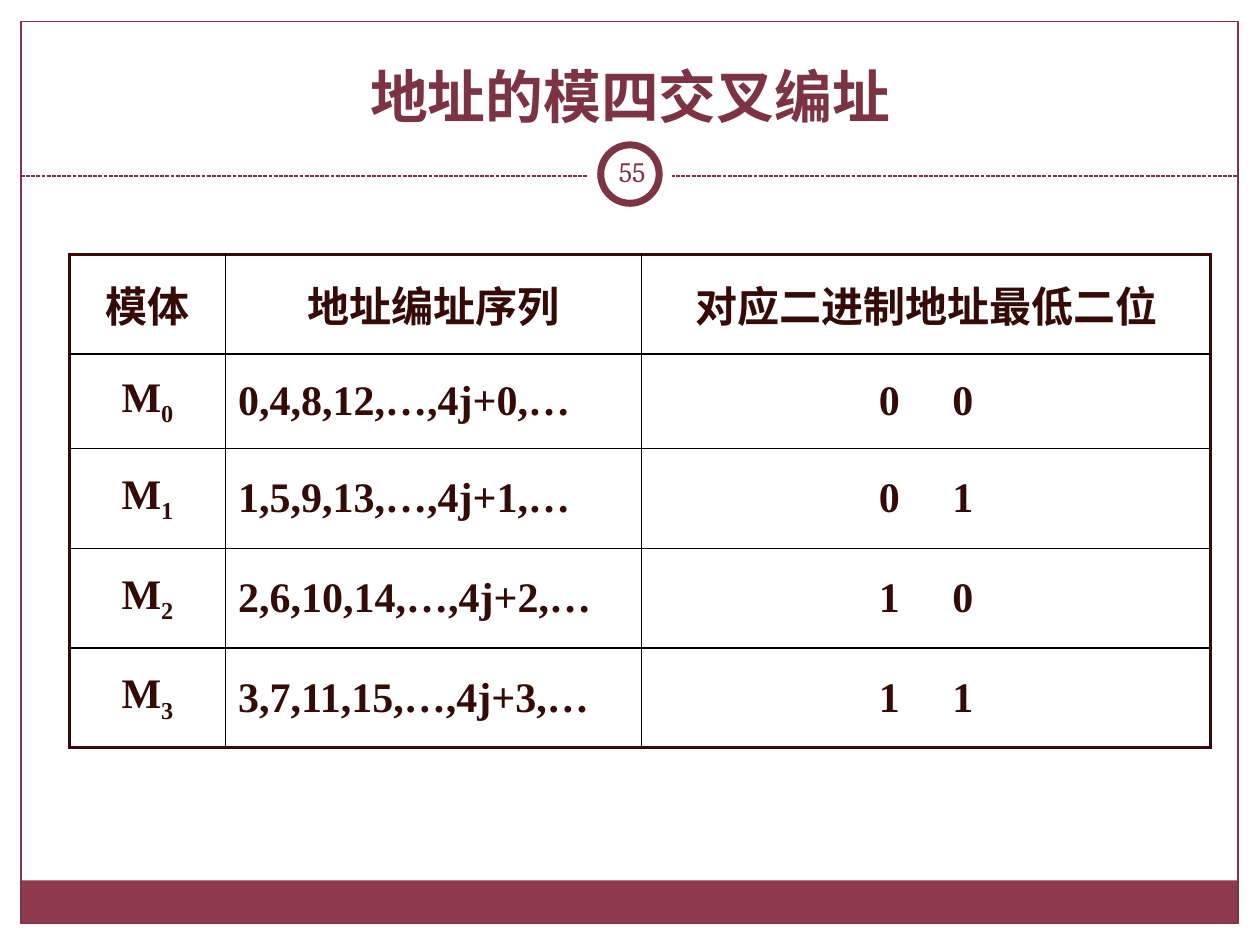
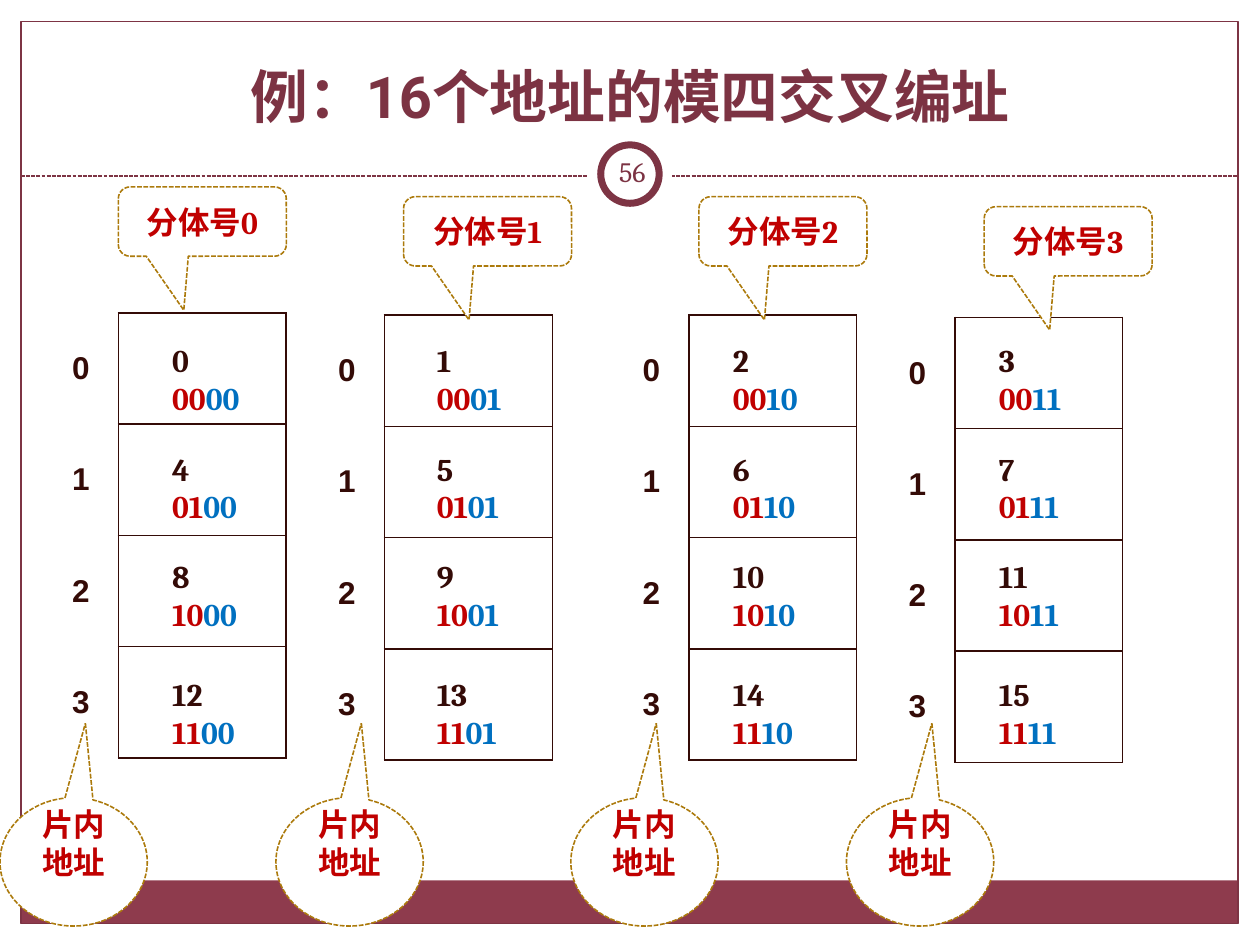
from dataclasses import dataclass
from lxml import etree
from pptx import Presentation
from pptx import util as u
from pptx.dml.color import RGBColor
from pptx.enum import dml, shapes, text
from pptx.oxml import ns


@dataclass(frozen=True)
class Type:
    font: str
    size: float
    color: str
    bold: bool = True


class Theme:
    white = "FFFFFF"
    band = "8E3B4D"
    rule = "7D3444"
    ink = "340B07"
    grid = "000000"
    gold = "AC7A0C"
    red = "C00000"
    blue = "0070C0"
    plain = "{2D5ABB26-0587-4C30-8999-92F81FD0307C}"
    title = Type("Roboto", 33, "7C3343")
    page = Type("Cambria", 16, "7C3343", False)
    cell = Type("Times New Roman", 24, ink)
    index = Type("Arial", 18, ink)
    word = Type("Cambria", 18, ink)
    call = Type("Cambria", 18, red)


LEFT, MID = text.PP_ALIGN.LEFT, text.PP_ALIGN.CENTER
Kind = shapes.MSO_SHAPE


def rgb(code):
    return RGBColor.from_string(code)


def box(*sides):
    return [u.Pt(side) for side in sides]


def write(frame, paras, style, align=MID, anchor=text.MSO_ANCHOR.MIDDLE):
    frame.word_wrap = True
    frame.vertical_anchor = anchor
    for i, parts in enumerate(paras):
        para = frame.add_paragraph() if i else frame.paragraphs[0]
        para.alignment = align
        font = para.font
        font.name, font.size, font.bold = style.font, u.Pt(style.size), style.bold
        font.color.rgb = rgb(style.color)
        for part, color, attrs in parts:
            run = para.add_run()
            run.text = part
            if color:
                run.font.color.rgb = rgb(color)
            for key, value in attrs.items():
                run._r.get_or_add_rPr().set(key, value)


def part(words, color=None, **attrs):
    return words, color, attrs


def label(slide, area, paras, style, align=MID, inset=7.2):
    frame = slide.shapes.add_textbox(*box(*area)).text_frame
    write(frame, paras, style, align)
    frame.margin_left = u.Pt(inset)
    return frame


def draw(slide, kind, area, fill=None, line=None, width=0.75, dash=None):
    shape = slide.shapes.add_shape(kind, *box(*area))
    shape.shadow.inherit = False
    if fill:
        shape.fill.solid()
        shape.fill.fore_color.rgb = rgb(fill)
    else:
        shape.fill.background()
    if line:
        shape.line.color.rgb = rgb(line)
        shape.line.width = u.Pt(width)
        shape.line.dash_style = dash
    else:
        shape.line.fill.background()
    return shape


def callout(slide, kind, area, tail, words):
    shape = draw(slide, kind, area, Theme.white, Theme.gold, 0.9,
                 dml.MSO_LINE.SQUARE_DOT)
    for i, value in enumerate(tail):
        shape.adjustments[i] = value
    write(shape.text_frame, [[part(words)]], Theme.call)
    return shape.text_frame


def edge(cell, **sides):
    props = cell._tc.get_or_add_tcPr()
    for side in "LRTB":
        if side in sides:
            color, width = sides[side]
            line = etree.SubElement(props, ns.qn("a:ln" + side), w=str(u.Pt(width)))
            fill = etree.SubElement(line, ns.qn("a:solidFill"))
            etree.SubElement(fill, ns.qn("a:srgbClr"), val=color)
    cell.fill.background()


def grid(slide, left, top, cols, rows):
    area = box(left, top, sum(cols), sum(rows))
    table = slide.shapes.add_table(len(rows), len(cols), *area).table
    table.first_row = table.horz_banding = False
    table._tbl.tblPr.find(ns.qn("a:tableStyleId")).text = Theme.plain
    for col, width in zip(table.columns, cols):
        col.width = u.Pt(width)
    for row, height in zip(table.rows, rows):
        row.height = u.Pt(height)
    return table


def base(deck, title, page):
    slide = deck.slides.add_slide(deck.slide_layouts[5])
    head = slide.shapes.title
    head.left, head.top, head.width, head.height = box(24, 18, 672, 60)
    head.text_frame.auto_size = text.MSO_AUTO_SIZE.NONE
    write(head.text_frame, [[part(title)]], Theme.title, anchor=text.MSO_ANCHOR.BOTTOM)
    draw(slide, Kind.RECTANGLE, (12, 503, 695.5, 24.8), Theme.band)
    draw(slide, Kind.RECTANGLE, (12, 12.2, 695.5, 515.6), line=Theme.rule)
    rule = slide.shapes.add_connector(shapes.MSO_CONNECTOR.STRAIGHT,
                                      *box(12, 100.6, 707.5, 100.6))
    rule.line.color.rgb = rgb(Theme.rule)
    rule.line.width = u.Pt(0.75)
    rule.line.dash_style = dml.MSO_LINE.SQUARE_DOT
    etree.SubElement(rule._element.spPr, ns.qn("a:effectLst"))
    draw(slide, Kind.OVAL, (336, 75.6, 48, 48), Theme.white)
    draw(slide, Kind.OVAL, (343.3, 82.8, 33.4, 33.4), Theme.white, Theme.rule, 4)
    frame = label(slide, (343.3, 80.6, 36, 34.6), [[part(page)]], Theme.page, inset=3.6)
    frame.margin_right = u.Pt(3.6)
    return slide


def modules(slide, left, top):
    cols, rows = (89.3, 237.6, 325.4), (57, 54, 57, 57, 57)
    table = grid(slide, left, top, cols, rows)
    lines = [[[part(name)] for name in ("模体", "地址编址序列", "对应二进制地址最低二位")]]
    for i in range(4):
        series = ",".join(str(4 * j + i) for j in range(4))
        high, low = f"{i:02b}"
        lines.append([
            [part("M"), part(str(i), baseline="-25000")],
            [part(f"{series},…,4j+{i},…")],
            [part(high), part(" ", spc="2400"), part(low)],
        ])
    thick, thin = (Theme.ink, 2.25), (Theme.grid, 1)
    for r, line in enumerate(lines):
        for c, parts in enumerate(line):
            cell = table.cell(r, c)
            write(cell.text_frame, [parts], Theme.cell, LEFT if r and c == 1 else MID)
            cell.vertical_anchor = text.MSO_ANCHOR.MIDDLE
            edge(cell, L=thin if c else thick, R=thick if c == 2 else thin,
                 T=thin if r else thick, B=thick if r == 4 else thin)


def bank(slide, num, left, top, word, tag, oval):
    table = grid(slide, left, top, (33.6, 96), [63.6] * 4)
    thin = (Theme.ink, 1)
    for r, drop in enumerate((11.5, 73.5, 135, 202.5)):
        name, cell = table.cell(r, 0), table.cell(r, 1)
        write(name.text_frame, [[part(str(r))]], Theme.index, LEFT)
        name.vertical_anchor = text.MSO_ANCHOR.MIDDLE
        edge(name, R=thin)
        edge(cell, L=thin, R=thin, T=thin, B=thin)
        bits = [part(f"{r:02b}", Theme.red), part(f"{num:02b}", Theme.blue)]
        label(slide, (left + word, 179.5 + drop, 90, 51),
              [[part(str(4 * r + num))], bits], Theme.word, LEFT, 25)
    dx, dy = tag
    callout(slide, Kind.ROUNDED_RECTANGULAR_CALLOUT, (left + dx, top + dy, 96, 39.6),
            (-0.11, 1.28, 0.17), f"分体号{num}")
    frame = callout(slide, Kind.OVAL_CALLOUT, (left + oval, 455.8, 84.2, 73.4),
                    (0.08, -1.08), "片内地址")
    frame.margin_bottom = u.Pt(25)


def main():
    deck = Presentation()
    deck.slide_width, deck.slide_height = box(720, 540)
    modules(base(deck, "地址的模四交叉编址", "55"), 39.6, 145.4)
    slide = base(deck, "例：16个地址的模四交叉编址", "56")
    banks = (
        (34, 178.8, 39.4, (33.6, -72), -34),
        (186, 180, 38.6, (44.6, -67.6), -28.3),
        (360, 180, 33.8, (39.4, -67.6), -33.8),
        (512, 181.4, 33.8, (50.4, -63.3), -28.3),
    )
    for num, place in enumerate(banks):
        bank(slide, num, *place)
    deck.save("out.pptx")


if __name__ == "__main__":
    main()
